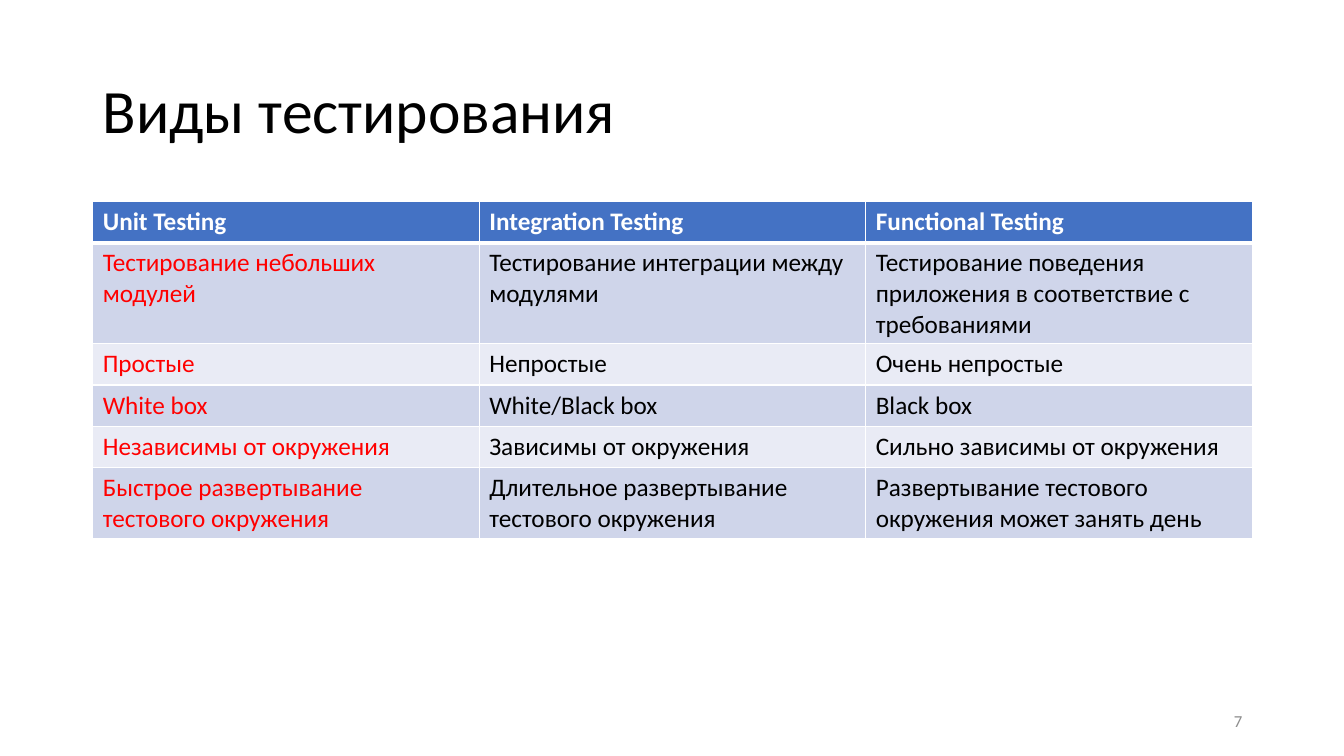
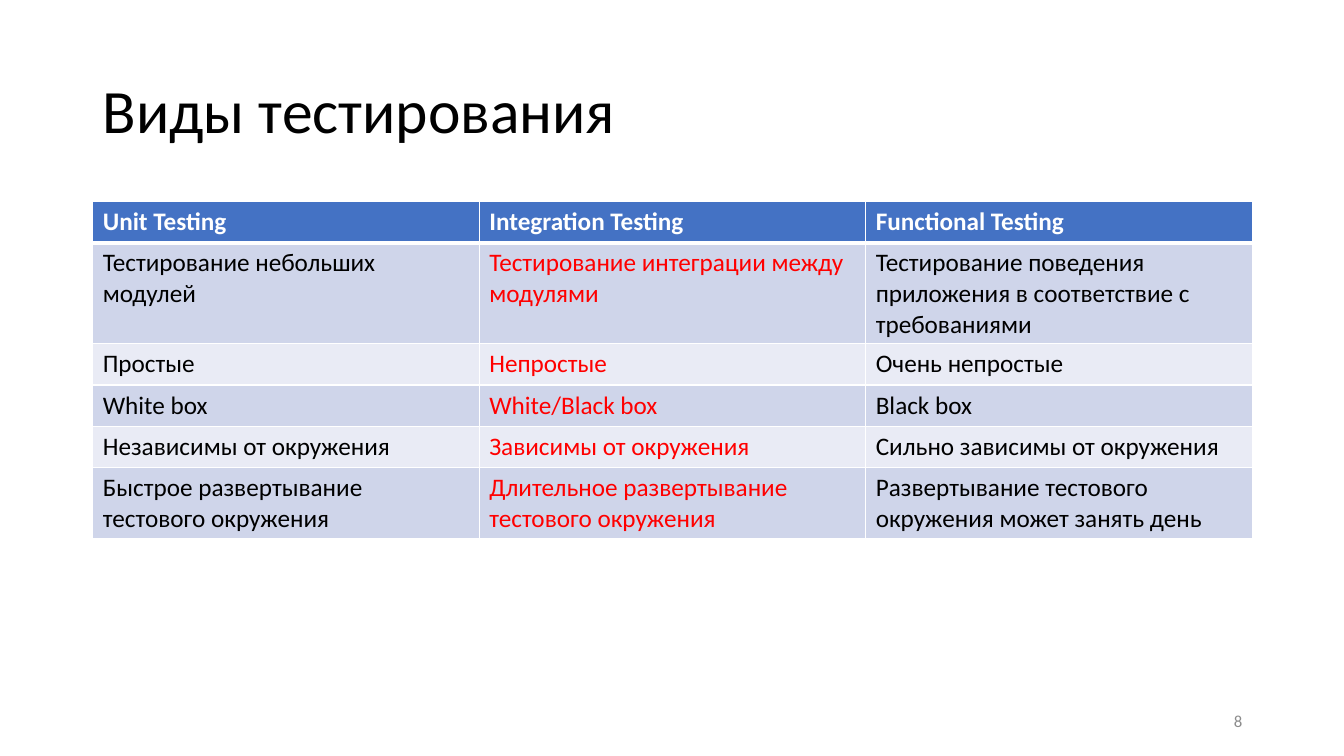
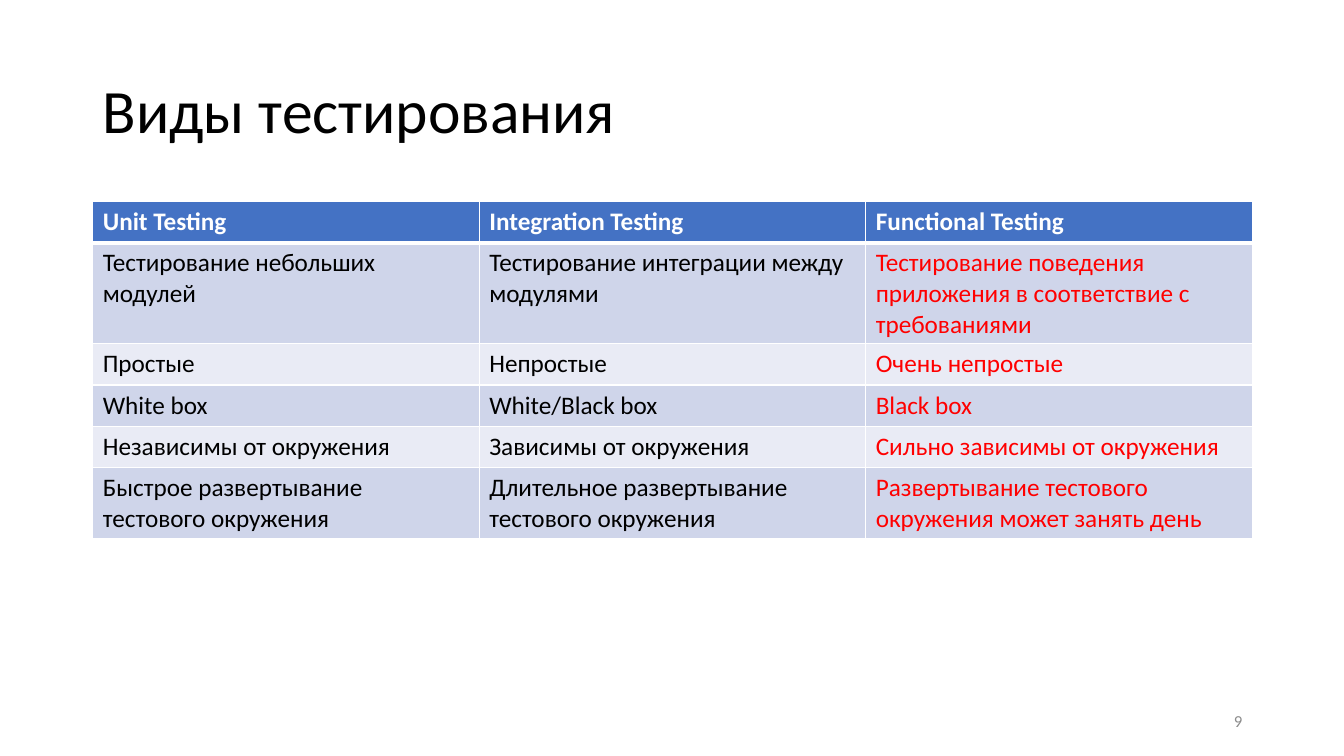
from lxml import etree
from pptx import Presentation
from pptx.dml.color import RGBColor
from pptx.enum.text import MSO_ANCHOR, PP_ALIGN
from pptx.oxml.ns import qn
from pptx.util import Inches, Pt

MIDDLE = MSO_ANCHOR.MIDDLE
LEFT, RIGHT = PP_ALIGN.LEFT, PP_ALIGN.RIGHT

FONT = "Calibri"
BLACK, WHITE, RED, GRAY = "000000", "FFFFFF", "FF0000", "8C8C8C"
HEADER_FILL = "4472C4"
BAND_FILLS = ("E9EBF5", "CFD5EA")  # even rows, odd rows
MARGIN, CONTENT_WIDTH = 0.92, 11.5
ROW_HEIGHT = 0.41

TITLE = "Виды тестирования"
TESTING_KINDS = [
    ("Unit Testing", "Integration Testing", "Functional Testing"),
    ("Тестирование небольших модулей",
     "Тестирование интеграции между модулями",
     "Тестирование поведения приложения в соответствие с требованиями"),
    ("Простые", "Непростые", "Очень непростые"),
    ("White box", "White/Black box", "Black box"),
    ("Независимы от окружения", "Зависимы от окружения",
     "Сильно зависимы от окружения"),
    ("Быстрое развертывание тестового окружения",
     "Длительное развертывание тестового окружения",
     "Развертывание тестового окружения может занять день"),
]
FIRST_PAGE_NUMBER = 7


def color(value):
    return RGBColor.from_string(value)


class Deck:
    """Shared style and the slide being filled."""

    def __init__(self):
        self.presentation = Presentation()
        self.presentation.slide_width = Inches(13.33)
        self.presentation.slide_height = Inches(7.5)
        self.page = None

    def add_page(self, title, number):
        blank = self.presentation.slide_layouts[6]
        self.page = self.presentation.slides.add_slide(blank)
        heading = self.text(title, MARGIN, 0.4, CONTENT_WIDTH, 1.45, 44, BLACK)
        heading.line_spacing = 0.9
        self.text(str(number), MARGIN + CONTENT_WIDTH - 3, 6.95, 3, 0.4,
                  12, GRAY, RIGHT)

    def style(self, para, size, ink, bold=False):
        for span in para.runs:
            span.font.name = FONT
            span.font.size = Pt(size)
            span.font.bold = bold
            span.font.color.rgb = color(ink)

    def text(self, words, left, top, width, height, size, ink, align=LEFT):
        box = self.page.shapes.add_textbox(
            Inches(left), Inches(top), Inches(width), Inches(height))
        frame = box.text_frame
        frame.word_wrap = True
        frame.vertical_anchor = MIDDLE
        frame.text = words
        para = frame.paragraphs[0]
        para.alignment = align
        self.style(para, size, ink)
        return para

    def borders(self, cell, top, bottom):
        properties = cell._tc.get_or_add_tcPr()
        for side, points in (("L", 1), ("R", 1), ("T", top), ("B", bottom)):
            line = etree.SubElement(properties, qn(f"a:ln{side}"), w=str(Pt(points)))
            fill = etree.SubElement(line, qn("a:solidFill"))
            etree.SubElement(fill, qn("a:srgbClr"), val=WHITE)

    def table(self, rows, top, highlighted):
        columns = len(rows[0])
        table = self.page.shapes.add_table(
            len(rows), columns, Inches(MARGIN), Inches(top),
            Inches(CONTENT_WIDTH), Inches(ROW_HEIGHT * len(rows))).table
        for r, row in enumerate(rows):
            header = r == 0
            for c, words in enumerate(row):
                cell = table.cell(r, c)
                # The header is set off by a thicker rule
                self.borders(cell, 3 if r == 1 else 1, 3 if header else 1)
                cell.fill.solid()
                cell.fill.fore_color.rgb = color(
                    HEADER_FILL if header else BAND_FILLS[r % 2])
                cell.text_frame.text = words
                body_ink = RED if c == highlighted else BLACK
                self.style(cell.text_frame.paragraphs[0], 18,
                           WHITE if header else body_ink, header)


def main():
    deck = Deck()
    # One slide per kind of testing, with its column in red
    for column in range(len(TESTING_KINDS[0])):
        deck.add_page(TITLE, FIRST_PAGE_NUMBER + column)
        deck.table(TESTING_KINDS, 2, column)
    deck.presentation.save("out.pptx")


if __name__ == "__main__":
    main()
